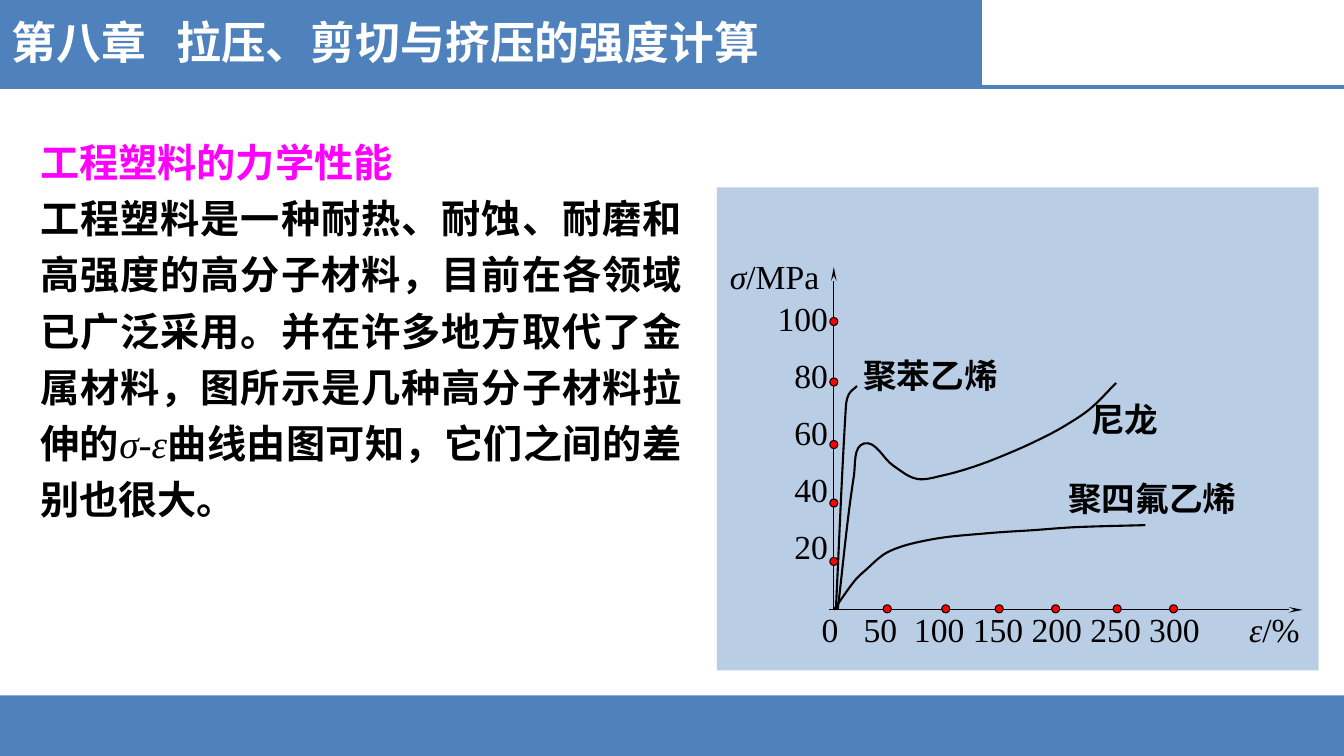
import math

from lxml import etree
from pptx import Presentation, util as u
from pptx.dml.color import RGBColor
from pptx.enum import shapes, text
from pptx.oxml.ns import qn

WIDTH, HEIGHT = 13.33, 7.5
BLUE, PANEL, BLACK, WHITE = "4F81BD", "B9CDE5", "000000", "FFFFFF"
MAGENTA, RED = "FF00FF", "FF0000"
SERIF, SANS = "Times New Roman", "Noto Sans CJK SC"
LEFT, CENTER = text.PP_ALIGN.LEFT, text.PP_ALIGN.CENTER
RIGHT, JUSTIFY = text.PP_ALIGN.RIGHT, text.PP_ALIGN.JUSTIFY

# A paragraph is a list of (text, italic) runs.
CHAPTER = [("第八章\t拉压、剪切与挤压的强度计算", False)]
HEADING = [("工程塑料的力学性能", False)]
BODY = [
    ("工程塑料是一种耐热、耐蚀、耐磨和高强度的高分子材料，目前在各领域已广泛采用。"
     "并在许多地方取代了金属材料，图所示是几种高分子材料拉伸的", False),
    ("σ-ε", True),
    ("曲线由图可知，它们之间的差别也很大。", False),
]
STRESS_TITLE = [("σ", True), ("/MPa", False)]
STRAIN_TITLE = [("ε", True), ("/%", False)]
STRESS_VALUES = [100, 80, 60, 40, 20]
STRAIN_VALUES = [0, 50, 100, 150, 200, 250, 300]

ORIGIN_X, ORIGIN_Y = 8.27, 6.05
STRESS_TICKS = [3.19, 3.79, 4.41, 4.99, 5.57]
STRAIN_TICKS = [8.8, 9.38, 9.91, 10.47, 11.08, 11.64]
STRAIN_PITCH = 3.5 / 6
DOT = 0.08
UNITS = 1000  # path units per inch

# Material name, label box (left, top, width), curve points.
MATERIALS = [
    ("聚四氟乙烯", (10.25, 4.69, 2.36),
     [(8.27, 6.05), (8.47, 5.77), (8.57, 5.67), (8.82, 5.47), (9.25, 5.35),
      (9.8, 5.29), (10.25, 5.26), (10.68, 5.23), (11.36, 5.21)]),
    ("尼龙", (10.29, 3.91, 1.73),
     [(8.31, 6.04), (8.47, 4.72), (8.57, 4.4), (8.86, 4.62), (9.09, 4.75),
      (9.34, 4.72), (9.69, 4.62), (10.07, 4.47), (10.37, 4.33),
      (10.57, 4.22), (10.82, 4.05), (11.07, 3.8)]),
    ("聚苯乙烯", (8.08, 3.47, 2.3),
     [(8.29, 6.05), (8.39, 4.03), (8.42, 3.91), (8.5, 3.83)]),
]

presentation = Presentation()
presentation.slide_width = u.Inches(WIDTH)
presentation.slide_height = u.Inches(HEIGHT)
slide = presentation.slides.add_slide(presentation.slide_layouts[6])


def color(value):
    return RGBColor.from_string(value)


def add_block(kind, box, fill, outline=None):
    shape = slide.shapes.add_shape(kind, *map(u.Inches, box))
    shape.shadow.inherit = False
    shape.fill.solid()
    shape.fill.fore_color.rgb = color(fill)
    if outline:
        shape.line.color.rgb = color(outline)
        shape.line.width = u.Pt(0.75)
    else:
        shape.line.fill.background()


def add_line(start, end, stroke, width, arrow=False):
    line = slide.shapes.add_connector(
        shapes.MSO_CONNECTOR.STRAIGHT, *map(u.Inches, start + end))
    line.line.color.rgb = color(stroke)
    line.line.width = u.Pt(width)
    if arrow:
        etree.SubElement(line.line._ln, qn("a:tailEnd"),
                         type="stealth", w="sm", len="lg")
    etree.SubElement(line._element.spPr, qn("a:effectLst"))


def add_tabs(paragraph, positions, align):
    tabs = etree.SubElement(paragraph._p.get_or_add_pPr(), qn("a:tabLst"))
    for position in positions:
        etree.SubElement(tabs, qn("a:tab"),
                         pos=str(u.Inches(position)), algn=align)


def set_font(font, size, ink, bold, name):
    font.size, font.bold, font.name = u.Pt(size), bold, name
    font.color.rgb = color(ink)
    etree.SubElement(font._element, qn("a:ea"), typeface=SANS)


def add_text(box, paragraphs, size=24, inks=(BLACK,), bold=False, name=SERIF,
             align=LEFT, wrap=True, gap=0, line=None, tabs=(), tab_align="l"):
    """Add a text box; inks holds one colour for each paragraph, in turn."""
    frame = slide.shapes.add_textbox(*map(u.Inches, box)).text_frame
    frame.word_wrap = wrap
    for index, runs in enumerate(paragraphs):
        paragraph = frame.add_paragraph() if index else frame.paragraphs[0]
        paragraph.alignment = align
        if line:
            paragraph.line_spacing = u.Pt(line)
        if index and gap:
            paragraph.space_before = u.Pt(gap)
        if tabs:
            add_tabs(paragraph, tabs, tab_align)
        set_font(paragraph.font, size, inks[index % len(inks)], bold, name)
        for words, italic in runs:
            run = paragraph.add_run()
            run.text = words
            if italic:
                run.font.italic, run.font.bold = True, False


def handle(point, before, after, reach):
    """Return a Bezier handle along the direction from before to after."""
    share = reach / math.dist(before, after)
    return tuple(p + share * (b - a) for p, a, b in zip(point, before, after))


def add_curve(points):
    """Draw a smooth open curve through the points."""
    knots = [tuple(round(UNITS * value) for value in point) for point in points]
    builder = slide.shapes.build_freeform(*knots[0], scale=u.Inches(1) / UNITS)
    builder.add_line_segments(knots[1:], close=False)
    curve = builder.convert_to_shape()
    curve.shadow.inherit = False
    curve.fill.background()
    curve.line.color.rgb = color(BLACK)
    curve.line.width = u.Pt(1.5)

    left, top = (min(axis) for axis in zip(*knots))
    padded = [knots[0], *knots, knots[-1]]
    segments = list(curve._element.iter(qn("a:lnTo")))
    for segment, a, b, c, d in zip(segments, padded, padded[1:],
                                   padded[2:], padded[3:]):
        reach = math.dist(b, c) / 3
        bezier = etree.Element(qn("a:cubicBezTo"))
        for x, y in (handle(b, a, c, reach), handle(c, d, b, reach), c):
            etree.SubElement(bezier, qn("a:pt"),
                             x=str(round(x - left)), y=str(round(y - top)))
        segment.getparent().replace(segment, bezier)


# Page frame
RECTANGLE, OVAL = shapes.MSO_SHAPE.RECTANGLE, shapes.MSO_SHAPE.OVAL
add_block(RECTANGLE, (0, 6.9, WIDTH, 0.6), BLUE)
add_block(RECTANGLE, (0, -0.01, 9.74, 0.87), BLUE)
add_line((0, 0.86), (WIDTH, 0.86), BLUE, 3)
add_text((0.02, 0.1, 7.78, 0.64), [CHAPTER], size=32, inks=(WHITE,),
         bold=True, name=SANS, wrap=False, tabs=[1.63])

# Explanation
add_text((0.3, 1.23, 6.56, 4.06), [HEADING, BODY], size=28,
         inks=(MAGENTA, BLACK), bold=True, align=JUSTIFY, line=40.2)

# Stress-strain diagram
add_block(RECTANGLE, (7.11, 1.86, 5.97, 4.79), PANEL)
for material, (left, top, width), points in MATERIALS:
    add_curve(points)
    add_text((left, top, width, 0.5), [[(material, False)]],
             bold=True, align=CENTER)
add_line((8.22, ORIGIN_Y), (12.92, ORIGIN_Y), BLACK, 0.75, arrow=True)
add_line((ORIGIN_X, ORIGIN_Y), (ORIGIN_X, 2.65), BLACK, 0.75, arrow=True)
add_text((7.14, 2.49, 1.19, 0.5), [STRESS_TITLE])
add_text((12.29, 5.99, 0.9, 0.5), [STRAIN_TITLE])
add_text((7.54, 2.91, 0.77, 2.9),
         [[(str(value), False)] for value in STRESS_VALUES],
         align=RIGHT, gap=11.8)
add_text((8.05, 5.99, 4.16, 0.5),
         [[("\t".join(map(str, STRAIN_VALUES)), False)]], tab_align="ctr",
         tabs=[STRAIN_PITCH * i for i in range(1, len(STRAIN_VALUES))])
ticks = [(ORIGIN_X, y) for y in STRESS_TICKS]
ticks += [(x, ORIGIN_Y - 0.01) for x in STRAIN_TICKS]
for x, y in ticks:
    add_block(OVAL, (x - DOT / 2, y - DOT / 2, DOT, DOT), RED, BLACK)

presentation.save("out.pptx")
